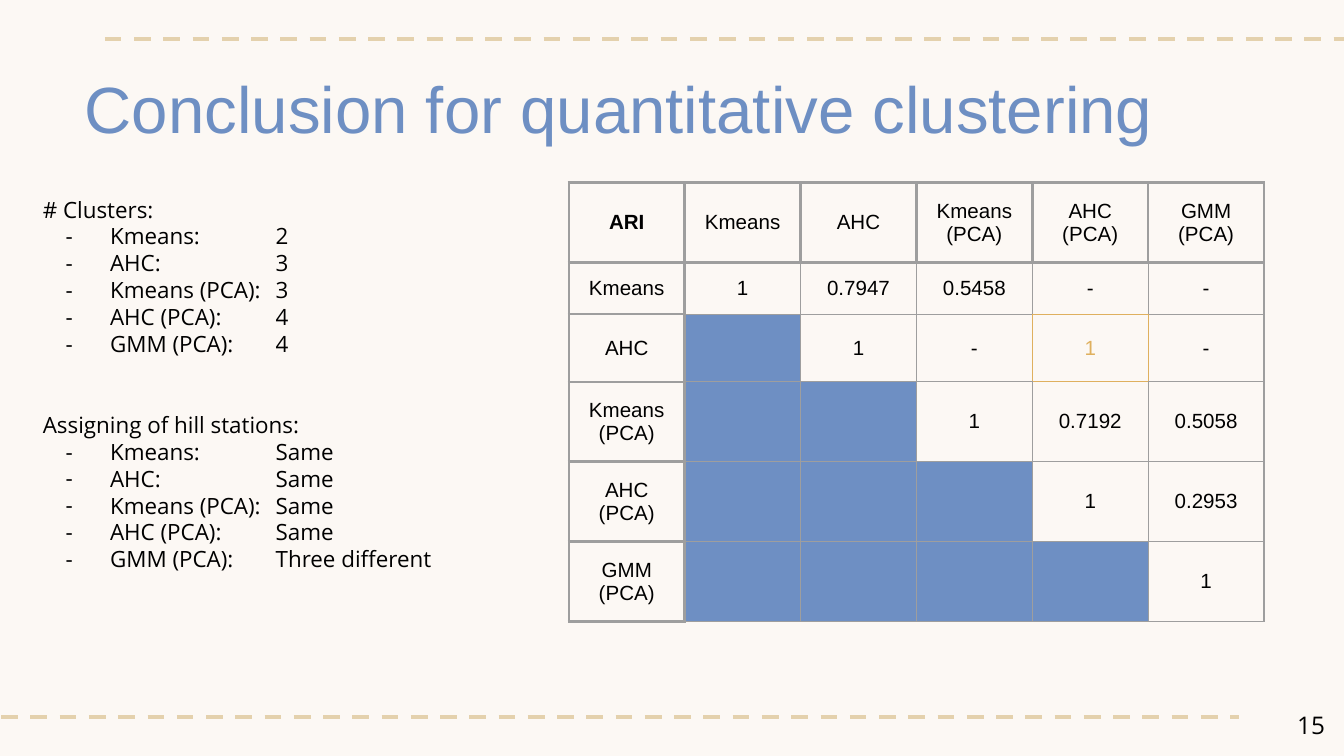
from lxml import etree
from pptx import Presentation
from pptx import util as u
from pptx.dml.color import RGBColor
from pptx.enum import dml, shapes, text
from pptx.oxml.ns import qn

BLUE = RGBColor(0x6E, 0x8F, 0xC3)
GOLD = RGBColor(0xDF, 0xB0, 0x5E)
SAND = RGBColor(0xE4, 0xD1, 0xAD)
GREY = RGBColor(0x9E, 0x9E, 0x9E)
BLACK = RGBColor(0, 0, 0)
CREAM = RGBColor(0xFC, 0xF8, 0xF4)
INSET = u.Cm(0.25)


def add_text(p, words, size, name, color, bold=False):
    r = p.add_run()
    r.text = words
    values = {"size": u.Pt(size), "name": name, "bold": bold}
    for key, value in values.items():
        setattr(r.font, key, value)
    r.font.color.rgb = color


def add_xml(parent, tag, **attrs):
    """Append a DrawingML element to parent and return it."""
    return etree.SubElement(parent, qn("a:" + tag), attrs)


prs = Presentation()
prs.slide_width, prs.slide_height = u.Cm(25.4), u.Cm(14.29)
s = prs.slides.add_slide(prs.slide_layouts[1])
s.background.fill.solid()
s.background.fill.fore_color.rgb = CREAM

# Dashed rules
for x, y in [(1.98, 0.73), (-0.53, 13.56)]:
    line = s.shapes.add_connector(
        shapes.MSO_CONNECTOR.STRAIGHT, u.Cm(x), u.Cm(y), u.Cm(x + 23.95), u.Cm(y))
    line.line.color.rgb = SAND
    line.line.width = u.Pt(2.25)
    line.line.dash_style = dml.MSO_LINE.DASH
    add_xml(line._element.spPr, "effectLst")

# Title, list and page number frames
title, body = s.placeholders
number = s.shapes.add_textbox(0, 0, 0, 0)
frames = [
    (title, (1.35, 0.91, 22.7, 1.6)),
    (body, (0.56, 3.45, 9.2, 8)),
    (number, (23.77, 13.18, 1.52, 1.09)),
]
frame_format = {
    "margin_left": INSET, "margin_right": INSET,
    "margin_top": INSET, "margin_bottom": INSET,
    "word_wrap": True, "auto_size": text.MSO_AUTO_SIZE.NONE,
    "vertical_anchor": text.MSO_ANCHOR.TOP,
}
for sp, box in frames:
    sp.left, sp.top, sp.width, sp.height = [u.Cm(n) for n in box]
    for key, value in frame_format.items():
        setattr(sp.text_frame, key, value)
title.text_frame.margin_top = u.Cm(0.38)
body.text_frame.margin_right = 0

p = title.text_frame.paragraphs[0]
p.alignment = text.PP_ALIGN.LEFT
add_text(p, "Conclusion for quantitative clustering", 35, "Arial", BLUE)

p = number.text_frame.paragraphs[0]
p.alignment = text.PP_ALIGN.RIGHT
add_text(p, "15", 13, "Open Sans", BLACK)

# Result lists
methods = ["Kmeans", "AHC", "Kmeans (PCA)", "AHC (PCA)", "GMM (PCA)"]
results = [
    ("# Clusters:", ["2", "3", "3", "4", "4"]),
    ("Assigning of hill stations:", ["Same"] * 4 + ["Three different"]),
]
tf = body.text_frame
for n, (heading, values) in enumerate(results):
    rows = [f"{method}:\t{value}" for method, value in zip(methods, values)]
    for i, words in enumerate([heading] + rows):
        p = tf.paragraphs[0] if n == i == 0 else tf.add_paragraph()
        p.line_spacing = u.Pt(14.4)
        p.space_before = u.Pt(29 if n and i == 0 else 0)
        pPr = p._p.get_or_add_pPr()
        if i == 0:
            pPr.set("marL", "0")
            pPr.set("indent", "0")
            add_xml(pPr, "buNone")
        else:
            pPr.set("marL", str(u.Cm(1.27)))
            pPr.set("indent", str(u.Cm(-0.84)))
            add_xml(add_xml(pPr, "buClr"), "srgbClr", val=str(BLACK))
            add_xml(pPr, "buFont", typeface="Open Sans")
            add_xml(pPr, "buChar", char="-")
            add_xml(add_xml(pPr, "tabLst"), "tab", pos=str(u.Cm(4.4)), algn="l")
        add_text(p, words, 12, "Open Sans", BLACK)

# ARI table: upper triangle holds scores, lower triangle is filled
scores = [
    ["1", "0.7947", "0.5458", "-", "-"],
    ["1", "-", "1", "-"],
    ["1", "0.7192", "0.5058"],
    ["1", "0.2953"],
    ["1"],
]
grid = [["ARI"] + methods]
for i, method in enumerate(methods):
    grid.append([method] + [""] * i + scores[i])
highlight = (2, 4)
sides = {"lnL": (0, -1), "lnR": (0, 1), "lnT": (-1, 0), "lnB": (1, 0)}
row_heights = [1.51, 0.98, 1.21, 1.51, 1.51, 1.51]
col_width = 2.19

table = s.shapes.add_table(
    6, 6, u.Cm(10.75), u.Cm(3.45), u.Cm(6 * col_width), u.Cm(sum(row_heights))).table
table.first_row = table.horz_banding = False
cell_format = {
    "margin_left": INSET, "margin_right": INSET,
    "margin_top": INSET, "margin_bottom": INSET,
    "vertical_anchor": text.MSO_ANCHOR.MIDDLE,
}
for col in table.columns:
    col.width = u.Cm(col_width)
for r, row in enumerate(grid):
    table.rows[r].height = u.Cm(row_heights[r])
    for c, words in enumerate(row):
        cell = table.cell(r, c)
        for key, value in cell_format.items():
            setattr(cell, key, value)
        tcPr = cell._tc.get_or_add_tcPr()
        for side, (dr, dc) in sides.items():
            both = [(r, c), (r + dr, c + dc)]
            heading = any(0 in pos for pos in both)
            width = u.Pt(1.5 if heading else 0.75)
            color = GOLD if highlight in both else GREY
            ln = add_xml(tcPr, side, w=str(width))
            add_xml(add_xml(ln, "solidFill"), "srgbClr", val=str(color))
        if words:
            cell.fill.background()
            p = cell.text_frame.paragraphs[0]
            p.alignment = text.PP_ALIGN.CENTER
            color = GOLD if (r, c) == highlight else BLACK
            add_text(p, words, 11, "Arial", color, bold=words == "ARI")
        else:
            cell.fill.solid()
            cell.fill.fore_color.rgb = BLUE

prs.save("out.pptx")
